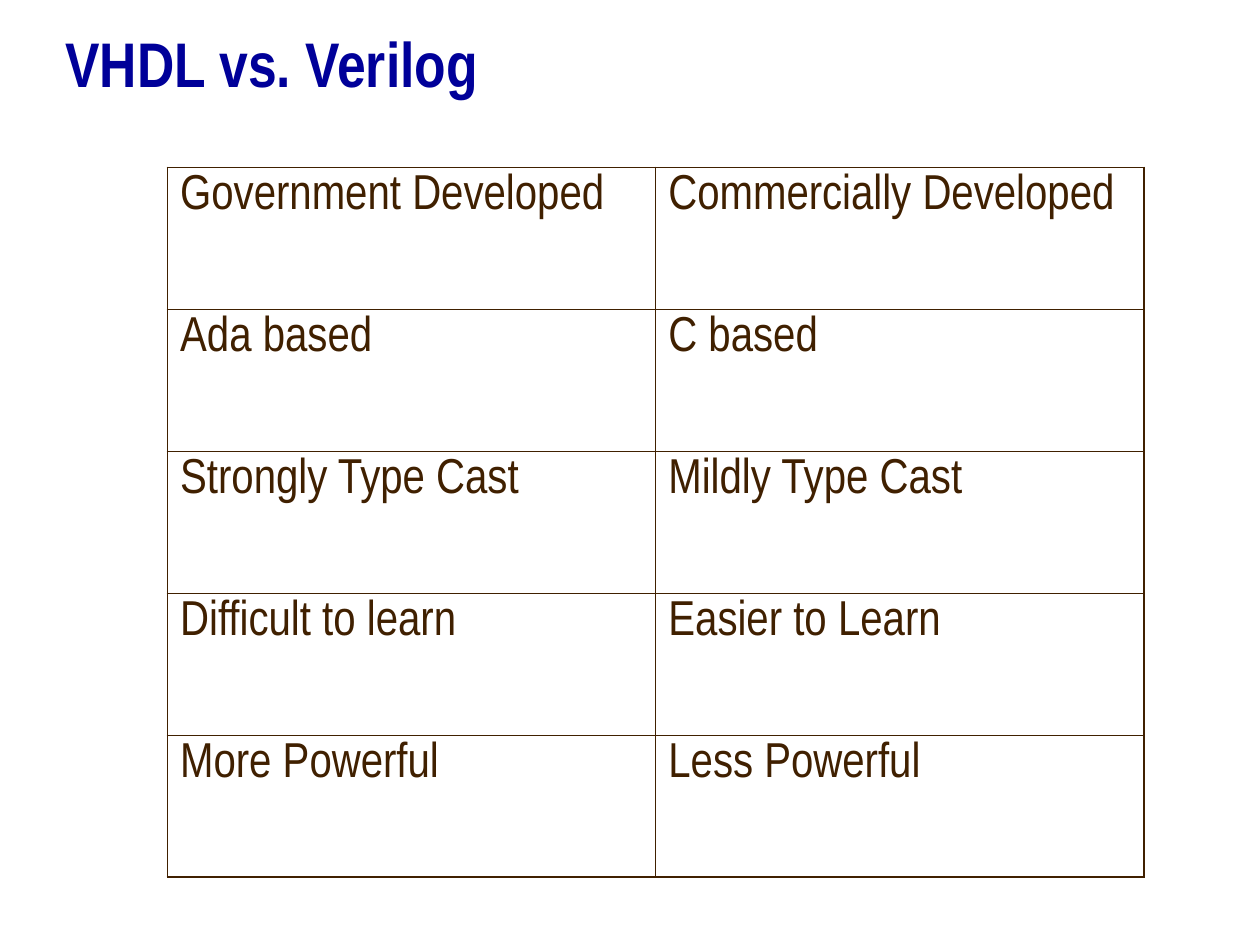
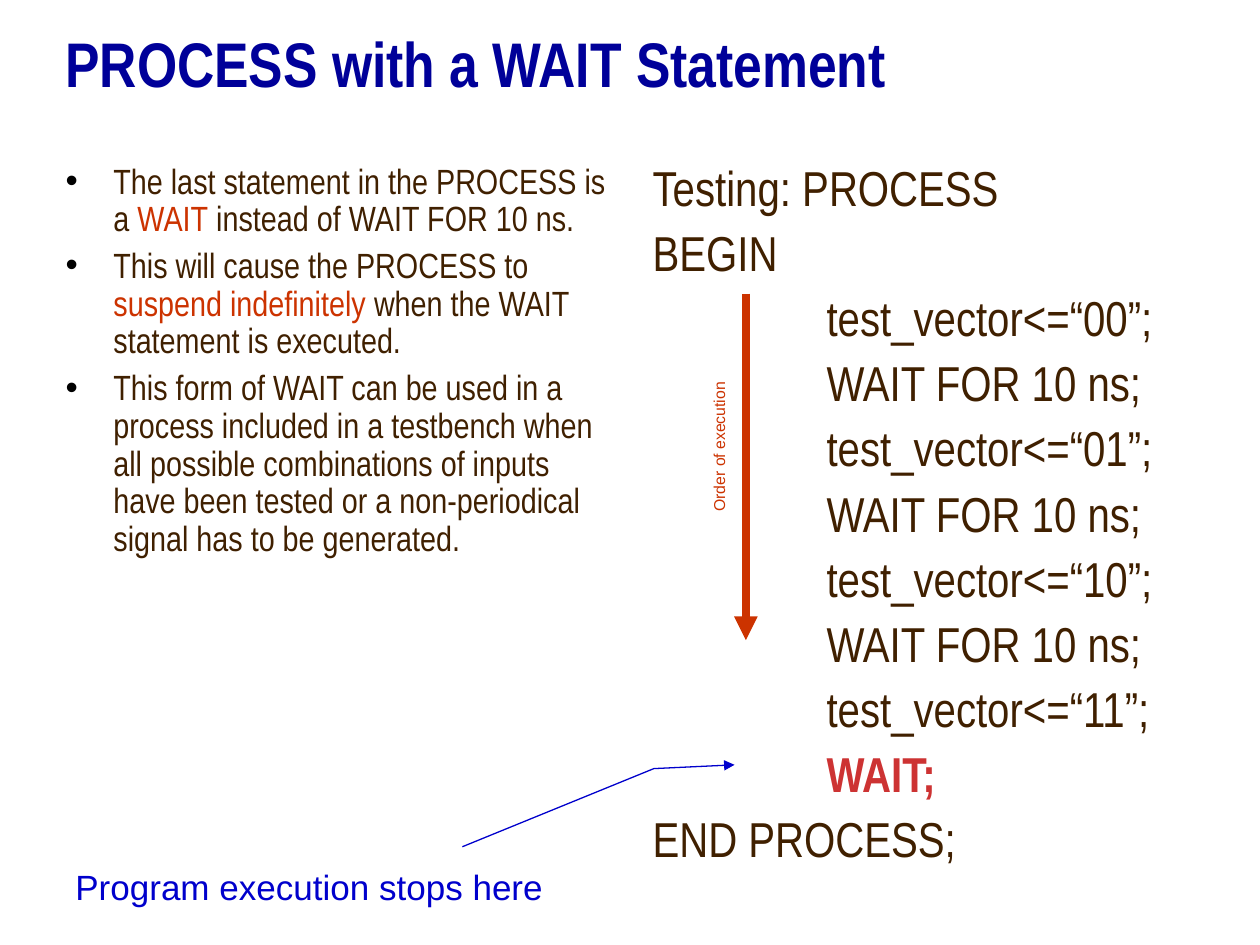
"""Build two slides on VHDL: a language comparison and a process with a WAIT statement."""
from lxml import etree
from pptx import Presentation
from pptx.dml.color import RGBColor
from pptx.enum.shapes import MSO_CONNECTOR
from pptx.enum.text import MSO_ANCHOR, MSO_AUTO_SIZE, PP_ALIGN
from pptx.oxml.ns import qn
from pptx.util import Inches, Pt

STRAIGHT = MSO_CONNECTOR.STRAIGHT
MIDDLE, TOP = MSO_ANCHOR.MIDDLE, MSO_ANCHOR.TOP
NO_AUTOFIT = MSO_AUTO_SIZE.NONE
LEFT = PP_ALIGN.LEFT

COLORS = {
    "title": "000099",
    "text": "402000",
    "accent": "CC3300",
    "wait": "CD3333",
    "note": "0000CC",
    "bullet": "000000",
    "background": "FFFFFF",
}
NARROW, REGULAR = "Arial Narrow", "Arial"
TITLE_BOX = (0.42, 0.08, 9.17, 0.83)
TITLE_ONLY, TWO_CONTENT = 5, 3

COMPARISON = [
    ("Government Developed", "Commercially Developed"),
    ("Ada based", "C based"),
    ("Strongly Type Cast", "Mildly Type Cast"),
    ("Difficult to learn", "Easier to Learn"),
    ("More Powerful", "Less Powerful"),
]
TABLE_BOX = (1.33, 1.33, 7.75, 5.63)
OUTER_BORDER, INNER_BORDER = 1.08, 0.45

BULLETS = [
    [("The last statement in the PROCESS is a ", "text"), ("WAIT", "accent"),
     (" instead of WAIT FOR 10 ns.", "text")],
    [("This will cause the PROCESS to ", "text"), ("suspend indefinitely", "accent"),
     (" when the WAIT statement is executed.", "text")],
    [("This form of WAIT can be used in a process included in a testbench when all "
      "possible combinations of inputs have been tested or a non-periodical signal "
      "has to be generated.", "text")],
]
BULLETS_BOX = (0.42, 1.25, 4.5, 5.75)
HANGING = 0.38

CODE = [
    (0, "Testing: PROCESS"),
    (0, "BEGIN"),
    (1, "test_vector<=“00”;"),
    (1, "WAIT FOR 10 ns;"),
    (1, "test_vector<=“01”;"),
    (1, "WAIT FOR 10 ns;"),
    (1, "test_vector<=“10”;"),
    (1, "WAIT FOR 10 ns;"),
    (1, "test_vector<=“11”;"),
    (1, "WAIT;"),
    (0, "END PROCESS;"),
]
CODE_BOX = (5.08, 1.25, 4.5, 5.75)
CODE_INDENT = 1.38
FINAL_STATEMENT = "WAIT;"

ORDER_ARROW = ((5.92, 2.33), (5.92, 5.08))
ORDER_LABEL_BOX = (4.54, 3.87, 2.33, 0.25)
STOP_LABEL_BOX = (0.5, 6.82, 4.33, 0.44)
STOP_ARROW = [(3.67, 6.72), (5.19, 6.1), (5.83, 6.07)]


def inches(values):
    return [Inches(value) for value in values]


def color(name):
    return RGBColor.from_string(COLORS[name])


def add_run(paragraph, text, size, color_name, font_name=NARROW, bold=False):
    run = paragraph.add_run()
    run.text = text
    run.font.name = font_name
    run.font.size = Pt(size)
    run.font.bold = bold
    run.font.color.rgb = color(color_name)


def place(shape, box):
    shape.left, shape.top, shape.width, shape.height = inches(box)


def add_slide(presentation, layout, title):
    slide = presentation.slides.add_slide(presentation.slide_layouts[layout])
    slide.background.fill.solid()
    slide.background.fill.fore_color.rgb = color("background")
    place(slide.shapes.title, TITLE_BOX)
    frame = slide.shapes.title.text_frame
    frame.auto_size = NO_AUTOFIT
    frame.vertical_anchor = MIDDLE
    paragraph = frame.paragraphs[0]
    paragraph.alignment = LEFT
    add_run(paragraph, title, 36, "title", bold=True)
    return slide


def set_borders(cell, widths):
    properties = cell._tc.get_or_add_tcPr()
    for side, width in widths.items():
        line = etree.SubElement(properties, qn(f"a:ln{side}"), w=str(Pt(width)))
        fill = etree.SubElement(line, qn("a:solidFill"))
        etree.SubElement(fill, qn("a:srgbClr"), val=COLORS["text"])


def add_comparison(slide):
    rows, columns = len(COMPARISON), len(COMPARISON[0])
    table = slide.shapes.add_table(rows, columns, *inches(TABLE_BOX)).table
    table.first_row = table.horz_banding = False
    for row, texts in enumerate(COMPARISON):
        for column, text in enumerate(texts):
            cell = table.cell(row, column)
            edges = {"L": column == 0, "R": column == columns - 1,
                     "T": row == 0, "B": row == rows - 1}
            set_borders(cell, {side: OUTER_BORDER if outer else INNER_BORDER
                               for side, outer in edges.items()})
            cell.fill.background()
            cell.vertical_anchor = TOP
            cell.margin_top = cell.margin_bottom = Inches(0.05)
            add_run(cell.text_frame.paragraphs[0], text, 28, "text")


def body_paragraphs(placeholder, box, count, space_before):
    place(placeholder, box)
    frame = placeholder.text_frame
    frame.auto_size = NO_AUTOFIT
    for index in range(count):
        paragraph = frame.add_paragraph() if index else frame.paragraphs[0]
        paragraph.line_spacing = 0.9
        paragraph.space_before = Pt(space_before if index else 0)
        yield paragraph


def set_indent(paragraph, left, first, bullet=None):
    properties = paragraph._p.get_or_add_pPr()
    properties.set("marL", str(Inches(left)))
    properties.set("indent", str(Inches(first)))
    if bullet is None:
        etree.SubElement(properties, qn("a:buNone"))
        return
    bullet_color = etree.SubElement(properties, qn("a:buClr"))
    etree.SubElement(bullet_color, qn("a:srgbClr"), val=COLORS["bullet"])
    etree.SubElement(properties, qn("a:buFont"), typeface=REGULAR)
    etree.SubElement(properties, qn("a:buChar"), char=bullet)


def fill_bullets(placeholder):
    paragraphs = body_paragraphs(placeholder, BULLETS_BOX, len(BULLETS), 5)
    for paragraph, runs in zip(paragraphs, BULLETS):
        set_indent(paragraph, HANGING, -HANGING, "•")
        for text, color_name in runs:
            add_run(paragraph, text, 20, color_name)


def fill_code(placeholder):
    paragraphs = body_paragraphs(placeholder, CODE_BOX, len(CODE), 7)
    for paragraph, (level, text) in zip(paragraphs, CODE):
        if level:
            set_indent(paragraph, CODE_INDENT, 0)
        else:
            set_indent(paragraph, HANGING, -HANGING)
        final = text == FINAL_STATEMENT
        add_run(paragraph, text, 28, "wait" if final else "text", bold=final)


def style_arrow(shape, color_name, width):
    shape.line.color.rgb = color(color_name)
    shape.line.width = Pt(width)
    properties = shape.element.spPr
    etree.SubElement(properties.find(qn("a:ln")), qn("a:tailEnd"), type="triangle")
    if properties.find(qn("a:effectLst")) is None:
        etree.SubElement(properties, qn("a:effectLst"))


def add_label(slide, box, text, size, color_name):
    label = slide.shapes.add_textbox(*inches(box))
    label.text_frame.word_wrap = True
    add_run(label.text_frame.paragraphs[0], text, size, color_name, REGULAR)
    return label


def add_annotations(slide):
    start, end = ORDER_ARROW
    order_arrow = slide.shapes.add_connector(STRAIGHT, *inches(start + end))
    style_arrow(order_arrow, "accent", 4.5)

    add_label(slide, STOP_LABEL_BOX, "Program execution stops here", 20, "note")

    points = [inches(point) for point in STOP_ARROW]
    builder = slide.shapes.build_freeform(*points[0])
    builder.add_line_segments(points[1:], close=False)
    stop_arrow = builder.convert_to_shape()
    stop_arrow.fill.background()
    style_arrow(stop_arrow, "note", 0.75)

    order_label = add_label(slide, ORDER_LABEL_BOX, "Order of execution", 9, "accent")
    order_label.text_frame.margin_left = Inches(1.1)
    order_label.rotation = 270


def main():
    presentation = Presentation()
    presentation.slide_width, presentation.slide_height = Inches(10), Inches(7.5)

    comparison_slide = add_slide(presentation, TITLE_ONLY, "VHDL vs. Verilog")
    add_comparison(comparison_slide)

    process_slide = add_slide(presentation, TWO_CONTENT, "PROCESS with a WAIT Statement")
    fill_bullets(process_slide.placeholders[1])
    fill_code(process_slide.placeholders[2])
    add_annotations(process_slide)

    presentation.save("out.pptx")


if __name__ == "__main__":
    main()
